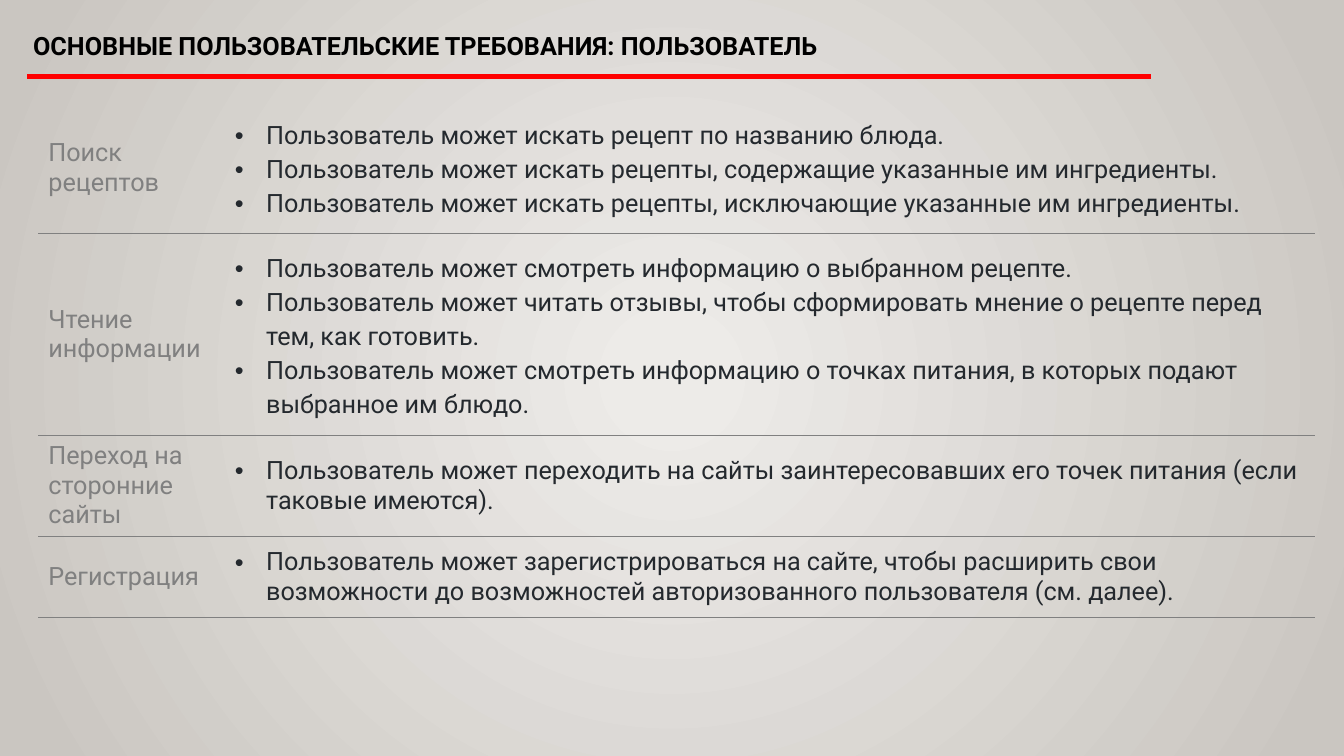
from dataclasses import dataclass

from lxml.etree import SubElement as Sub
from pptx import Presentation
from pptx.dml.color import RGBColor as Rgb
from pptx.enum.shapes import MSO_CONNECTOR as Conn
from pptx.enum.text import MSO_ANCHOR as Anchor
from pptx.oxml.ns import qn
from pptx.slide import Slide
from pptx.table import _Cell as Cell
from pptx.text.text import _Paragraph as Para
from pptx.util import Inches, Pt

COLORS = {
    "title": "000000",
    "rule": "FF0000",
    "label": "808080",
    "body": "24292E",
    "inner": "EDEBE8",
    "outer": "CAC6C1",
}
FONT = "Roboto"
PLAIN = "{2D5ABB26-0587-4C30-8999-92F81FD0307C}"  # no style, no grid


@dataclass
class Topic:
    name: str
    needs: list[str]
    height: float
    spacing: float


TOPICS = [
    Topic("Поиск рецептов", [
        "Пользователь может искать рецепт по названию блюда.",
        "Пользователь может искать рецепты, содержащие указанные им ингредиенты.",
        "Пользователь может искать рецепты, исключающие указанные им ингредиенты.",
    ], 1.31, 1.15),
    Topic("Чтение информации", [
        "Пользователь может смотреть информацию о выбранном рецепте.",
        "Пользователь может читать отзывы, чтобы сформировать мнение о рецепте "
        "перед тем, как готовить.",
        "Пользователь может смотреть информацию о точках питания, в которых "
        "подают выбранное им блюдо.",
    ], 2, 1.15),
    Topic("Переход на сторонние сайты", [
        "Пользователь может переходить на сайты заинтересовавших его точек "
        "питания (если таковые имеются).",
    ], 0.81, 1.0),
    Topic("Регистрация", [
        "Пользователь может зарегистрироваться на сайте, чтобы расширить свои "
        "возможности до возможностей авторизованного пользователя (см. далее).",
    ], 0.81, 1.0),
]


def color(name: str) -> Rgb:
    return Rgb.from_string(COLORS[name])


def style(para: Para, tint: str, spacing: float = 1.0, bold: bool = False) -> None:
    para.line_spacing = spacing
    for run in para.runs:
        run.font.name = FONT
        run.font.size = Pt(18)
        run.font.bold = bold
        run.font.color.rgb = color(tint)


def bullet(para: Para) -> None:
    props = para._p.get_or_add_pPr()
    props.set("marL", str(Inches(0.31)))
    props.set("indent", str(-Inches(0.31)))
    Sub(props, qn("a:buFont"), typeface="Arial")
    Sub(props, qn("a:buChar"), char="•")


def fill_cell(cell: Cell, lines: list[str], tint: str, spacing: float,
              dots: bool) -> None:
    cell.text_frame.text = "\n".join(lines)
    cell.vertical_anchor = Anchor.MIDDLE
    for para in cell.text_frame.paragraphs:
        style(para, tint, spacing)
        if dots:
            bullet(para)
    cell.fill.background()
    props = cell._tc.get_or_add_tcPr()
    edge = Sub(props, qn("a:lnB"), w=str(Pt(1)))
    Sub(Sub(edge, qn("a:solidFill")), qn("a:srgbClr"), val=COLORS["label"])
    props.insert(0, edge)


def add_back(slide: Slide) -> None:
    """Fill the background with a gradient that runs out from the centre."""
    fill = slide.background.fill
    fill.gradient()
    for stop, name, place in zip(fill.gradient_stops, ("inner", "outer"), (0.05, 0.95)):
        stop.color.rgb = color(name)
        stop.position = place
    grad = slide.element.find(".//" + qn("a:gradFill"))
    grad.remove(grad.find(qn("a:lin")))
    focus = Sub(grad, qn("a:path"), path="circle")
    Sub(focus, qn("a:fillToRect"), {side: "50000" for side in "ltrb"})


def add_title(slide: Slide) -> None:
    box = slide.shapes.add_textbox(Inches(0.23), 0, Inches(12.75), Inches(0.65))
    frame = box.text_frame
    frame.word_wrap = True
    frame.vertical_anchor = Anchor.BOTTOM
    frame.text = "ОСНОВНЫЕ ПОЛЬЗОВАТЕЛЬСКИЕ ТРЕБОВАНИЯ: ПОЛЬЗОВАТЕЛЬ"
    style(frame.paragraphs[0], "title", 0.9, True)

    rule = slide.shapes.add_connector(
        Conn.STRAIGHT, Inches(0.27), Inches(0.76), Inches(11.42), Inches(0.76))
    rule.line.color.rgb = color("rule")
    rule.line.width = Pt(3.75)
    Sub(rule._element.spPr, qn("a:effectLst"))


def add_topics(slide: Slide) -> None:
    total = sum(topic.height for topic in TOPICS)
    table = slide.shapes.add_table(
        len(TOPICS), 2, Inches(0.38), Inches(1.01), Inches(12.66), Inches(total)).table
    table.first_row = table.horz_banding = False
    table._tbl.tblPr.find(qn("a:tableStyleId")).text = PLAIN
    for col, width in zip(table.columns, (1.85, 10.81)):
        col.width = Inches(width)
    for row, topic in zip(table.rows, TOPICS):
        row.height = Inches(topic.height)
        name, needs = row.cells
        fill_cell(name, [topic.name], "label", 1.0, False)
        fill_cell(needs, topic.needs, "body", topic.spacing, True)


def main() -> None:
    deck = Presentation()
    deck.slide_width, deck.slide_height = Inches(13.33), Inches(7.5)
    slide = deck.slides.add_slide(deck.slide_layouts[6])
    add_back(slide)
    add_title(slide)
    add_topics(slide)
    deck.save("out.pptx")


if __name__ == "__main__":
    main()
